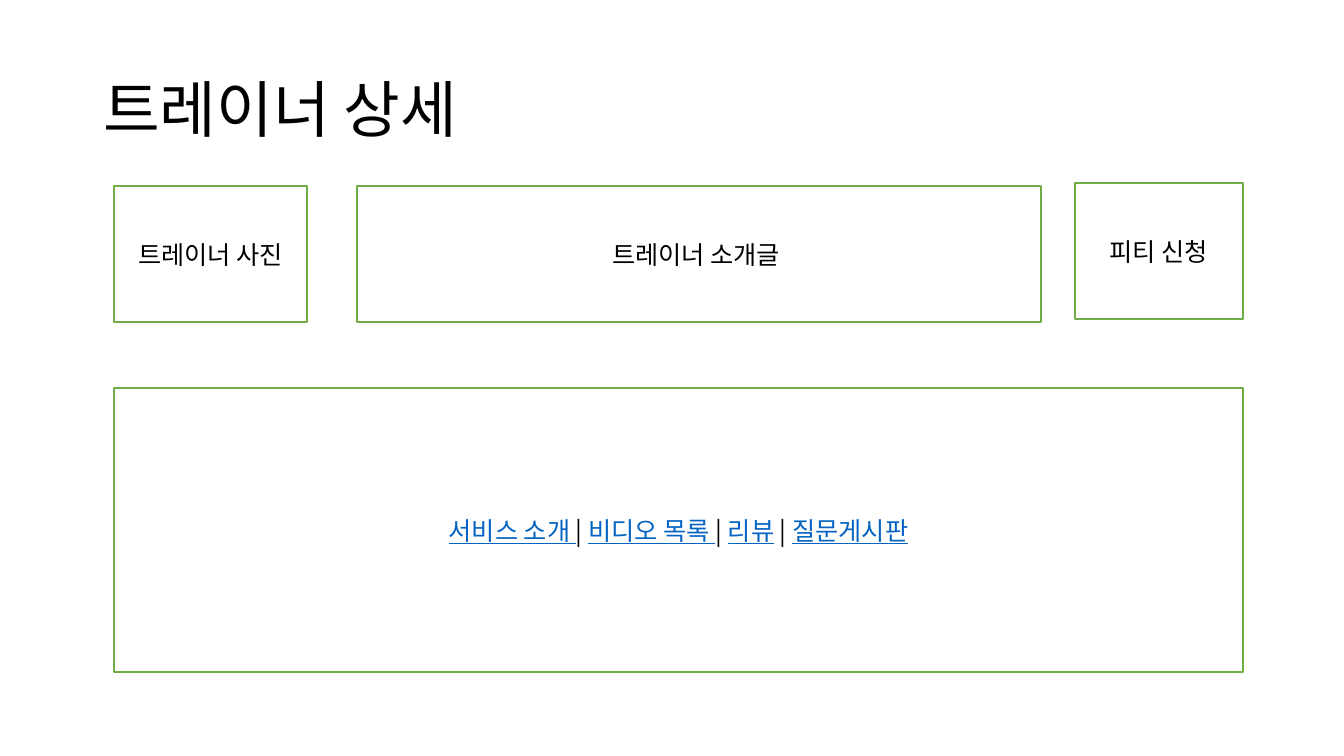
from lxml import etree
from pptx import Presentation
from pptx import util as u
from pptx.dml.color import RGBColor
from pptx.enum import shapes, text
from pptx.oxml.ns import qn

FACE = "Noto Sans CJK KR"
BLACK = RGBColor(0x00, 0x00, 0x00)
WHITE = RGBColor(0xFF, 0xFF, 0xFF)
GREEN = RGBColor(0x70, 0xAD, 0x47)
BLUE = RGBColor(0x05, 0x63, 0xC1)

TITLE = "트레이너 상세"
MENU = [
    ("서비스 소개 ", True), ("| ", False),
    ("비디오 목록 ", True), ("| ", False),
    ("리뷰", True), (" | ", False),
    ("질문게시판", True),
]
LEFT, RIGHT, TOP, HIGH = 114, 1243, 186, 136
BOXES = [
    (LEFT, 388, RIGHT - LEFT, 284, MENU),
    (LEFT, TOP, 193, HIGH, [("트레이너 사진", False)]),
    (357, TOP, 684, HIGH, [("트레이너 소개글 ", False)]),
    (RIGHT - 168, TOP - 3, 168, HIGH, [("피티 신청", False)]),
]
SCALE = u.Inches(1) / 100.8


def px(n):
    return u.Emu(round(n * SCALE))


def style(item, form):
    for key, value in form.items():
        setattr(item, key, value)


def place(item, left, top, width, height):
    style(item, {"left": px(left), "top": px(top),
                 "width": px(width), "height": px(height)})


def write(para, words, size, color, under=False):
    run = para.add_run()
    run.text = words
    style(run.font, {"name": FACE, "size": u.Pt(size), "underline": under})
    run.font.color.rgb = color
    east = etree.SubElement(run.font._element, qn("a:ea"))
    east.set("typeface", FACE)


def main():
    deck = Presentation()
    style(deck, {"slide_width": px(1344), "slide_height": px(756)})
    slide = deck.slides.add_slide(deck.slide_layouts[5])

    title = slide.shapes.title
    place(title, 93, 40, 1159, 146)
    style(title.text_frame, {"vertical_anchor": text.MSO_ANCHOR.MIDDLE,
                             "word_wrap": True,
                             "auto_size": text.MSO_AUTO_SIZE.NONE})
    head = title.text_frame.paragraphs[0]
    style(head, {"alignment": text.PP_ALIGN.LEFT, "line_spacing": 0.9})
    write(head, TITLE, 44, BLACK)

    for left, top, width, height, parts in BOXES:
        box = slide.shapes.add_shape(
            shapes.MSO_SHAPE.RECTANGLE, px(left), px(top), px(width), px(height))
        box.shadow.inherit = False
        box.fill.solid()
        box.fill.fore_color.rgb = WHITE
        box.line.color.rgb = GREEN
        box.line.width = u.Pt(1)
        style(box.text_frame, {"word_wrap": True,
                               "vertical_anchor": text.MSO_ANCHOR.MIDDLE})
        para = box.text_frame.paragraphs[0]
        para.alignment = text.PP_ALIGN.CENTER
        for words, link in parts:
            write(para, words, 18, BLUE if link else BLACK, link)

    deck.save("out.pptx")


if __name__ == "__main__":
    main()
